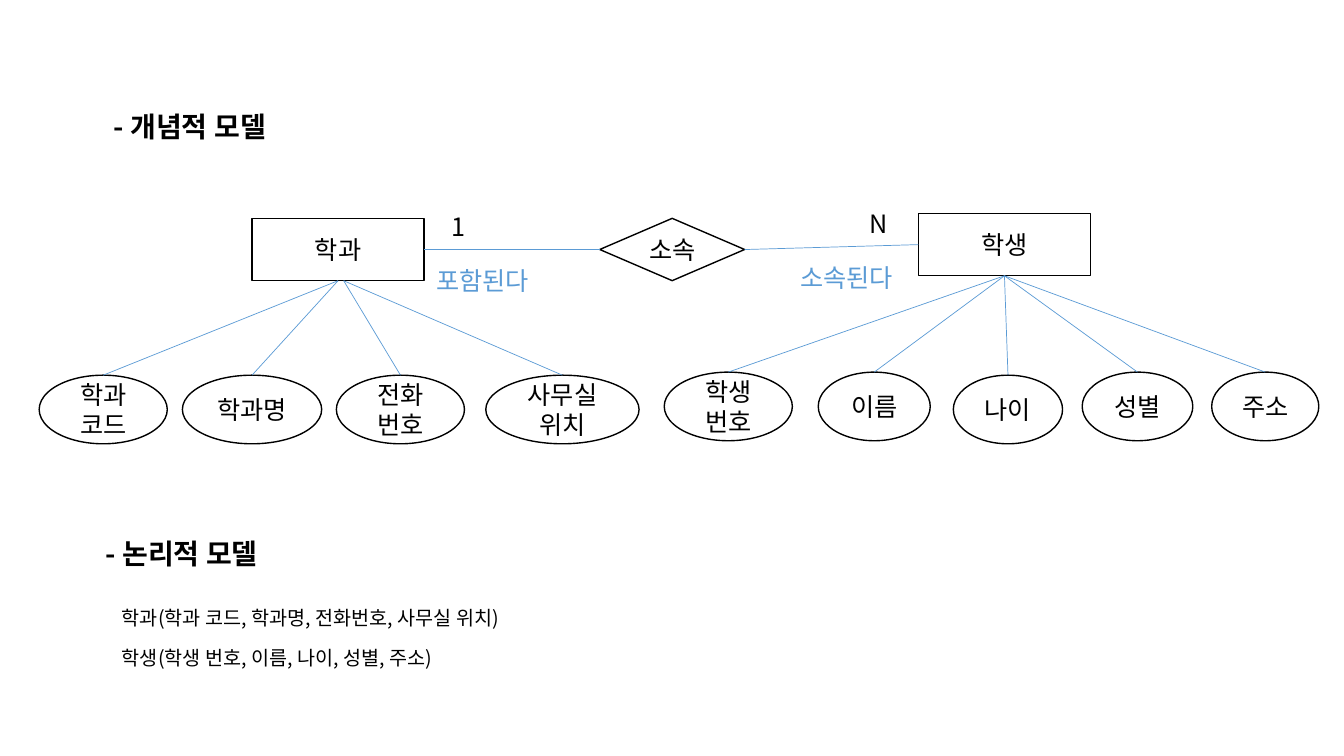
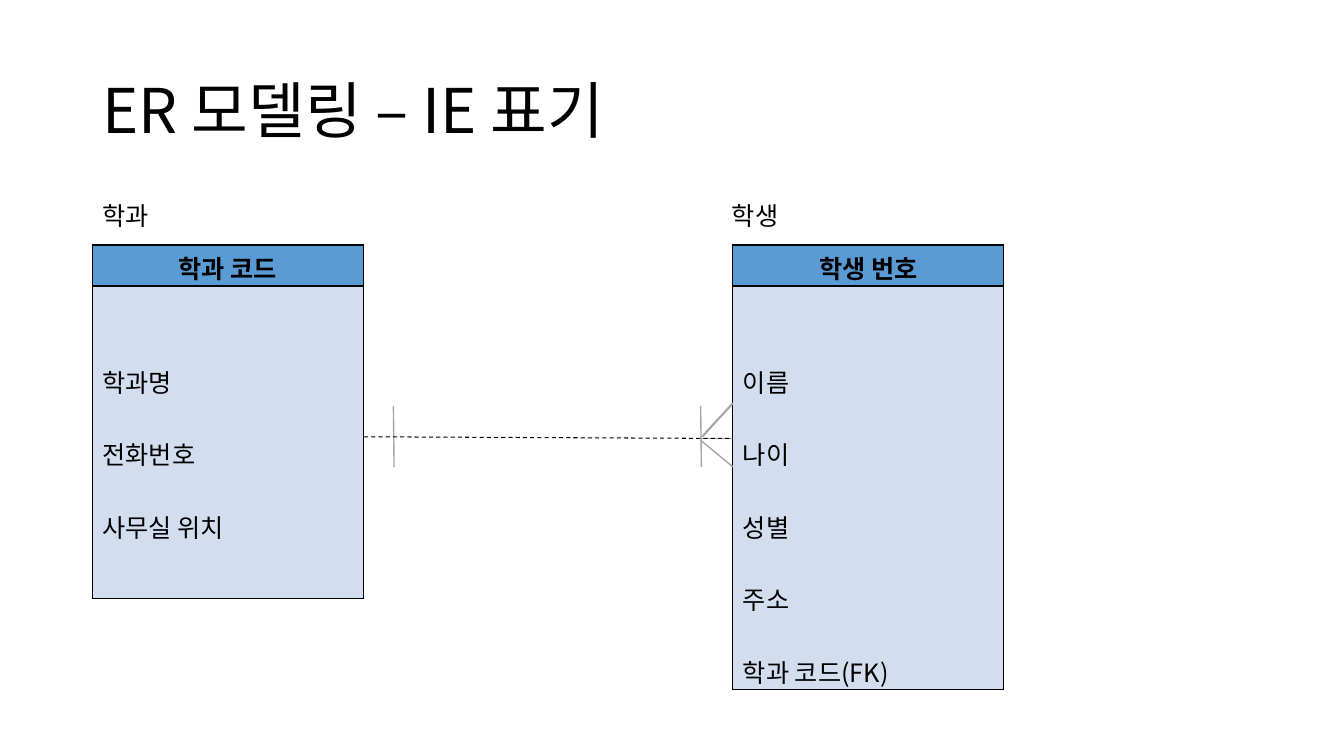
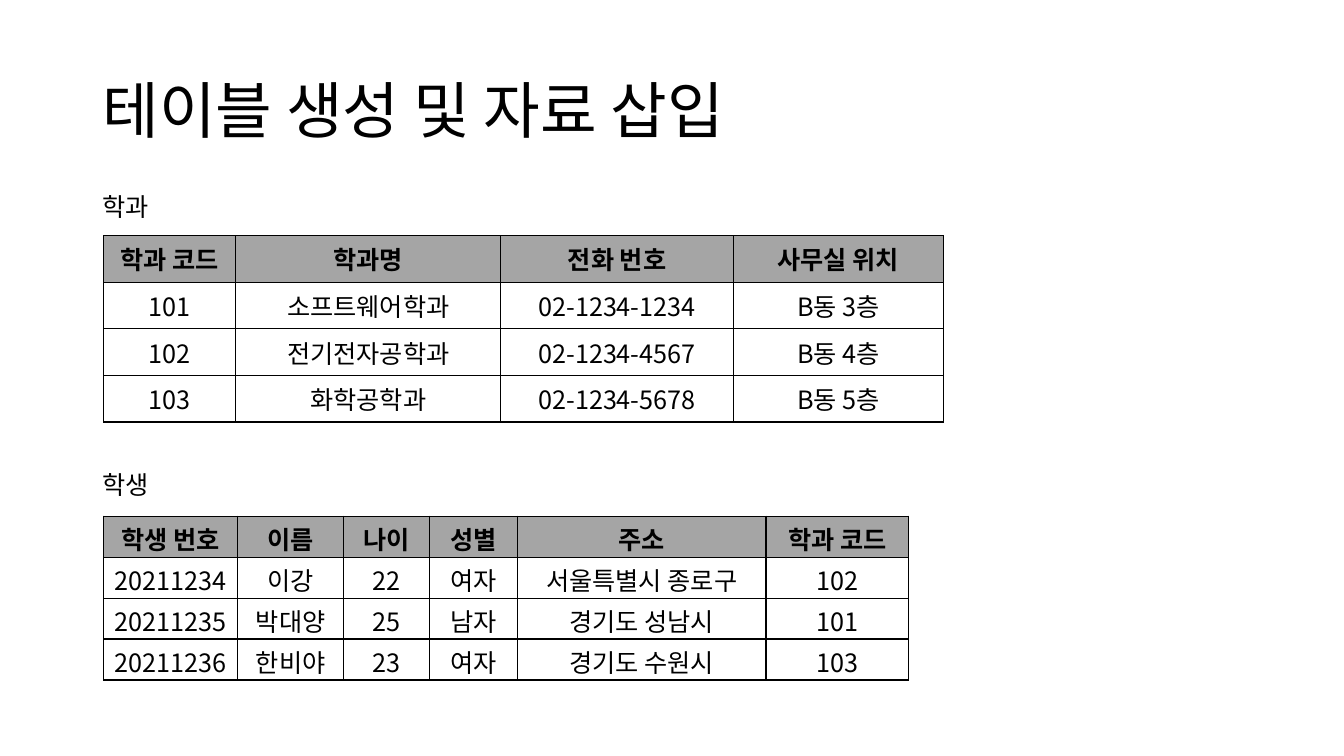
from dataclasses import dataclass

from lxml.etree import SubElement
from pptx import Presentation
from pptx.dml.color import RGBColor
from pptx.enum.dml import MSO_LINE_DASH_STYLE as Dash
from pptx.enum.shapes import MSO_CONNECTOR_TYPE as Connector
from pptx.enum.shapes import MSO_SHAPE as Preset
from pptx.enum.text import MSO_ANCHOR as Anchor
from pptx.enum.text import MSO_AUTO_SIZE as AutoSize
from pptx.enum.text import PP_ALIGN as Align
from pptx.oxml.ns import qn
from pptx.util import Pt

FONT = "Noto Sans CJK KR"
BLACK, WHITE, BLUE = "000000", "FFFFFF", "5B9BD5"
PALE_BLUE, GRAY = "D2DEEF", "A5A5A5"
TITLE_ONLY = 5


@dataclass(frozen=True)
class Box:
    """Place and size in points."""
    left: float
    top: float
    width: float
    height: float

    @property
    def lengths(self):
        """The four values as lengths."""
        return tuple(Pt(n) for n in (self.left, self.top, self.width, self.height))

    @property
    def center(self) -> float:
        """Horizontal middle."""
        return self.left + self.width / 2

    @property
    def middle(self) -> float:
        """Vertical middle."""
        return self.top + self.height / 2

    @property
    def right(self) -> float:
        """Right edge."""
        return self.left + self.width

    @property
    def bottom(self) -> float:
        """Bottom edge."""
        return self.top + self.height


@dataclass(frozen=True)
class Attribute:
    """An oval below an entity; shift moves the start of its line."""
    label: str
    left: float
    width: float
    top: float
    shift: float = 0


@dataclass(frozen=True)
class Entity:
    """A rectangle with its attributes."""
    label: str
    box: Box
    attributes: tuple[Attribute, ...]


@dataclass(frozen=True)
class Caption:
    """A free line of text."""
    text: str
    box: Box
    size: float = 18
    color: str = BLACK
    bold: bool = False


@dataclass(frozen=True)
class Stroke:
    """A straight line between two points."""
    x1: float
    y1: float
    x2: float
    y2: float
    color: str = GRAY
    width: float = 1
    dashed: bool = False


@dataclass(frozen=True)
class IeTable:
    """An entity in IE notation: key above, other fields below."""
    name: Caption
    key: str
    fields: tuple[str, ...]
    left: float
    body_height: float


@dataclass(frozen=True)
class DataTable:
    """A captioned table of records."""
    name: Caption
    top: float
    row_height: float
    margins: tuple[float, float]
    widths: tuple[float, ...]
    rows: tuple[tuple[str, ...], ...]


def rgb(color: str) -> RGBColor:
    """Turn a hex string into a colour."""
    return RGBColor.from_string(color)


def set_text(frame, text: str, size: float = 18, color: str = BLACK,
             bold: bool = False, align=Align.LEFT) -> None:
    """Fill a text frame and format its runs."""
    frame.text = text
    for paragraph in frame.paragraphs:
        paragraph.alignment = align
        for run in paragraph.runs:
            font = run.font
            font.name, font.size, font.bold = FONT, Pt(size), bold
            font.color.rgb = rgb(color)
            SubElement(font._element, qn("a:ea"), typeface=FONT)


def add_titled_slide(deck, text: str, box: Box = Box(66, 29, 828, 104.5),
                     size: float = 44, bold: bool = False):
    """Add a slide and set its title."""
    slide = deck.slides.add_slide(deck.slide_layouts[TITLE_ONLY])
    title = slide.shapes.title
    title.left, title.top, title.width, title.height = box.lengths
    frame = title.text_frame
    set_text(frame, text, size, bold=bold)
    frame.auto_size = AutoSize.NONE
    frame.vertical_anchor = Anchor.MIDDLE
    frame.paragraphs[0].line_spacing = 0.9
    return slide


def add_caption(slide, caption: Caption) -> None:
    """Draw a text box."""
    frame = slide.shapes.add_textbox(*caption.box.lengths).text_frame
    frame.word_wrap = True
    set_text(frame, caption.text, caption.size, caption.color, caption.bold)


def add_node(slide, preset, box: Box, label: str) -> None:
    """Draw an outlined shape with centred text."""
    node = slide.shapes.add_shape(preset, *box.lengths)
    node.shadow.inherit = False
    node.fill.solid()
    node.fill.fore_color.rgb = rgb(WHITE)
    node.line.color.rgb = rgb(BLACK)
    node.line.width = Pt(1)
    node.text_frame.vertical_anchor = Anchor.MIDDLE
    set_text(node.text_frame, label, align=Align.CENTER)


def add_stroke(slide, stroke: Stroke) -> None:
    """Draw a straight line without shadow."""
    ends = (Pt(n) for n in (stroke.x1, stroke.y1, stroke.x2, stroke.y2))
    connector = slide.shapes.add_connector(Connector.STRAIGHT, *ends)
    connector.line.color.rgb = rgb(stroke.color)
    connector.line.width = Pt(stroke.width)
    if stroke.dashed:
        connector.line.dash_style = Dash.DASH
    SubElement(connector._element.spPr, qn("a:effectLst"))


def add_entity(slide, entity: Entity) -> None:
    """Draw an entity, its ovals and the lines between them."""
    add_node(slide, Preset.RECTANGLE, entity.box, entity.label)
    for item in entity.attributes:
        oval = Box(item.left, item.top, item.width, 49)
        add_node(slide, Preset.OVAL, oval, item.label)
        add_stroke(slide, Stroke(entity.box.center + item.shift, entity.box.bottom,
                                 oval.center, oval.top, BLUE, 0.5))


def add_grid(slide, left: float, top: float, widths, heights):
    """Add an unstyled table with given column widths and row heights."""
    frame = Box(left, top, sum(widths), sum(heights))
    grid = slide.shapes.add_table(len(heights), len(widths), *frame.lengths).table
    grid.first_row = grid.horz_banding = False
    for column, width in zip(grid.columns, widths):
        column.width = Pt(width)
    for row, height in zip(grid.rows, heights):
        row.height = Pt(height)
    return grid


def fill_cell(cell, text: str, fill: str, margins: tuple[float, float],
              bold: bool = False, align=Align.CENTER) -> None:
    """Set a cell's text, borders, fill, and top and bottom margins."""
    set_text(cell.text_frame, text, bold=bold, align=align)
    cell.margin_top, cell.margin_bottom = (Pt(n) for n in margins)
    properties = cell._tc.get_or_add_tcPr()
    for side in ("a:lnL", "a:lnR", "a:lnT", "a:lnB"):
        border = SubElement(properties, qn(side), w=str(Pt(1)))
        SubElement(SubElement(border, qn("a:solidFill")), qn("a:srgbClr"), val=BLACK)
    cell.fill.solid()
    cell.fill.fore_color.rgb = rgb(fill)


def add_ie_table(slide, entity: IeTable) -> None:
    """Draw an entity in IE notation."""
    add_caption(slide, entity.name)
    grid = add_grid(slide, entity.left, 175, (193.5,), (29.3, entity.body_height))
    fill_cell(grid.cell(0, 0), entity.key, BLUE, (3.2, 0), bold=True)
    body = grid.cell(1, 0)
    fill_cell(body, "\n".join(entity.fields), PALE_BLUE, (55, 0), align=Align.LEFT)
    for paragraph in body.text_frame.paragraphs[1:]:
        paragraph.space_before = Pt(25.7)


def add_data_table(slide, data: DataTable) -> None:
    """Draw a caption and its table."""
    add_caption(slide, data.name)
    heights = [data.row_height] * len(data.rows)
    grid = add_grid(slide, 74, data.top, data.widths, heights)
    for r, record in enumerate(data.rows):
        for c, value in enumerate(record):
            header = r == 0
            fill_cell(grid.cell(r, c), value, GRAY if header else WHITE,
                      data.margins, bold=header)


DEPARTMENT = Entity("학과", Box(180, 156, 123, 44.5), (
    Attribute("학과\n코드", 28, 91.5, 268),
    Attribute("학과명", 130.3, 99.5, 268),
    Attribute("전화\n번호", 240.3, 91.5, 268, 4),
    Attribute("사무실\n위치", 347, 109.5, 268, 4),
))
STUDENT = Entity("학생", Box(656, 152.5, 123, 44.5), (
    Attribute("학생\n번호", 474.5, 91.5, 265.8),
    Attribute("이름", 584.5, 80, 265.8),
    Attribute("나이", 681, 78, 268),
    Attribute("성별", 773, 79, 265.8),
    Attribute("주소", 865.5, 76.5, 265.8),
))
BELONGING = Box(428.4, 156, 103.5, 44.5)
MODEL_CAPTIONS = (
    Caption("1", Box(315.5, 147.5, 24.5, 29)),
    Caption("N", Box(614, 145.5, 41, 29)),
    Caption("포함된다", Box(304.5, 186, 94.5, 29), color=BLUE),
    Caption("소속된다", Box(564.5, 183.5, 86.5, 29), color=BLUE),
    Caption("- 논리적 모델", Box(68.4, 379.5, 138, 31.5), 20, bold=True),
    Caption("학과(학과 코드, 학과명, 전화번호, 사무실 위치)", Box(80, 429, 446, 24), 14),
    Caption("학생(학생 번호, 이름, 나이, 성별, 주소)", Box(80, 457.5, 384, 24), 14),
)
IE_TABLES = (
    IeTable(Caption("학과", Box(66, 139.5, 59, 29)), "학과 코드",
            ("학과명", "전화번호", "사무실 위치"), 66, 223.3),
    IeTable(Caption("학생", Box(515.7, 139.5, 58, 29)), "학생 번호",
            ("이름", "나이", "성별", "주소", "학과 코드(FK)"), 523.5, 288.2),
)
CROW_FOOT = (
    Stroke(281, 290, 281.5, 333.5),
    Stroke(500.5, 290, 501, 333.5),
    Stroke(523.5, 288, 501.5, 312, width=1.5),
    Stroke(501.5, 313.2, 523.5, 313.2),
    Stroke(500.5, 314.5, 523.5, 333.5),
    Stroke(260, 312, 523.5, 313.2, BLACK, 0.75, dashed=True),
)
DATA_TABLES = (
    DataTable(Caption("학과", Box(66, 133, 57, 29)), 168.3, 33.3, (3.6, 3.6),
              (94.5, 189.2, 166.2, 149.8), (
        ("학과 코드", "학과명", "전화 번호", "사무실 위치"),
        ("101", "소프트웨어학과", "02-1234-1234", "B동 3층"),
        ("102", "전기전자공학과", "02-1234-4567", "B동 4층"),
        ("103", "화학공학과", "02-1234-5678", "B동 5층"),
    )),
    DataTable(Caption("학생", Box(66, 332, 51, 29)), 368.8, 29.25, (3.2, 0),
              (95.8, 75.6, 61.5, 62.8, 177.5, 102), (
        ("학생 번호", "이름", "나이", "성별", "주소", "학과 코드"),
        ("20211234", "이강", "22", "여자", "서울특별시 종로구", "102"),
        ("20211235", "박대양", "25", "남자", "경기도 성남시", "101"),
        ("20211236", "한비야", "23", "여자", "경기도 수원시", "103"),
    )),
)


def build_models(deck) -> None:
    """Conceptual and logical model."""
    slide = add_titled_slide(deck, "- 개념적 모델", Box(74, 78.5, 151, 26.6), 20, True)
    for entity in (DEPARTMENT, STUDENT):
        add_entity(slide, entity)
    add_node(slide, Preset.FLOWCHART_DECISION, BELONGING, "소속")
    add_stroke(slide, Stroke(BELONGING.left, BELONGING.middle, DEPARTMENT.box.right,
                             DEPARTMENT.box.middle, BLUE, 0.5))
    add_stroke(slide, Stroke(BELONGING.right, BELONGING.middle, STUDENT.box.left,
                             STUDENT.box.middle, BLUE, 0.5))
    for caption in MODEL_CAPTIONS:
        add_caption(slide, caption)


def build_ie_notation(deck) -> None:
    """Both entities in IE notation."""
    slide = add_titled_slide(deck, "ER 모델링 – IE 표기")
    for entity in IE_TABLES:
        add_ie_table(slide, entity)
    for stroke in CROW_FOOT:
        add_stroke(slide, stroke)


def build_records(deck) -> None:
    """Tables with their records."""
    slide = add_titled_slide(deck, "테이블 생성 및 자료 삽입")
    for data in DATA_TABLES:
        add_data_table(slide, data)


def main() -> None:
    """Build and save the deck."""
    deck = Presentation()
    deck.slide_width, deck.slide_height = Pt(960), Pt(540)
    build_models(deck)
    build_ie_notation(deck)
    build_records(deck)
    deck.save("out.pptx")


main()
